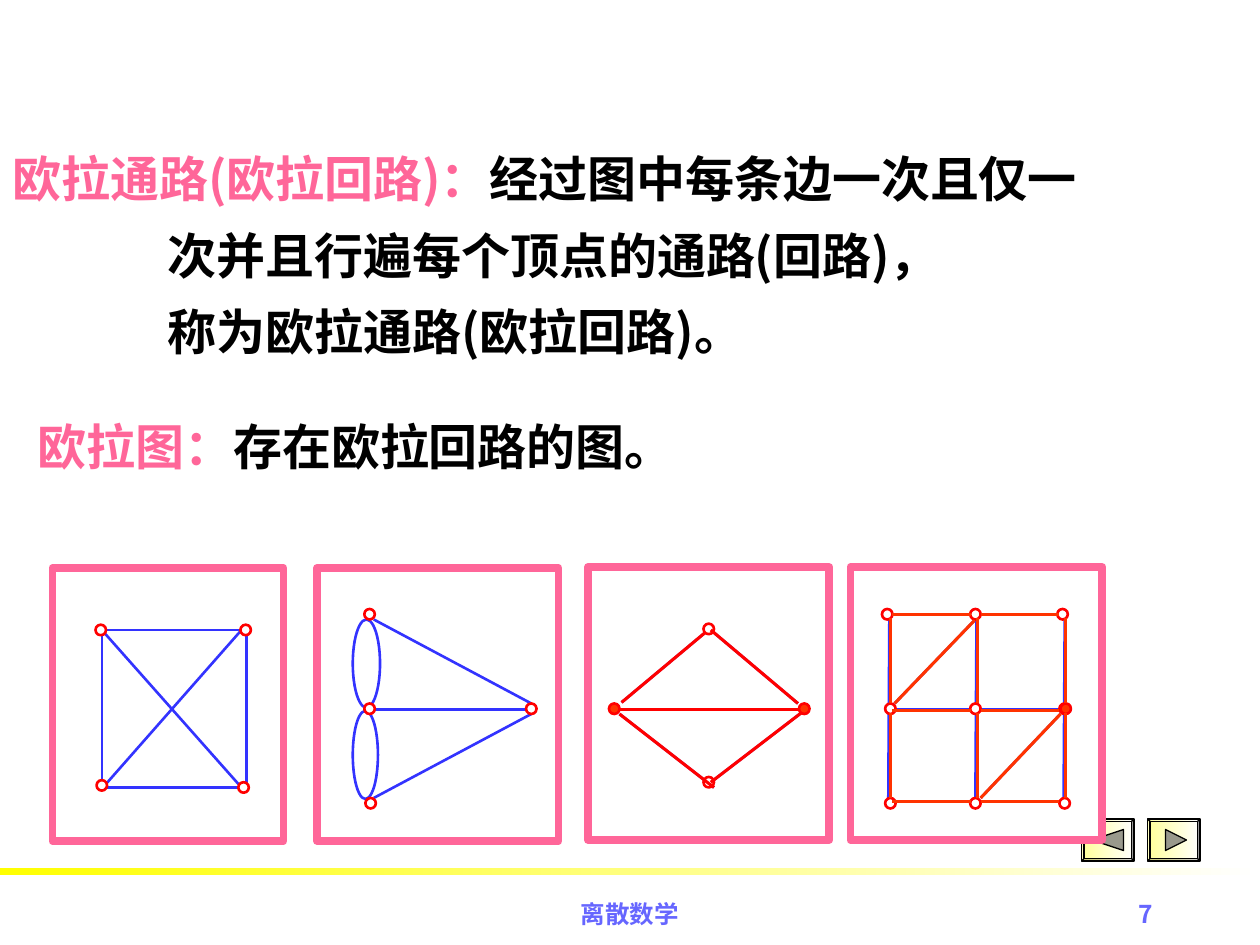
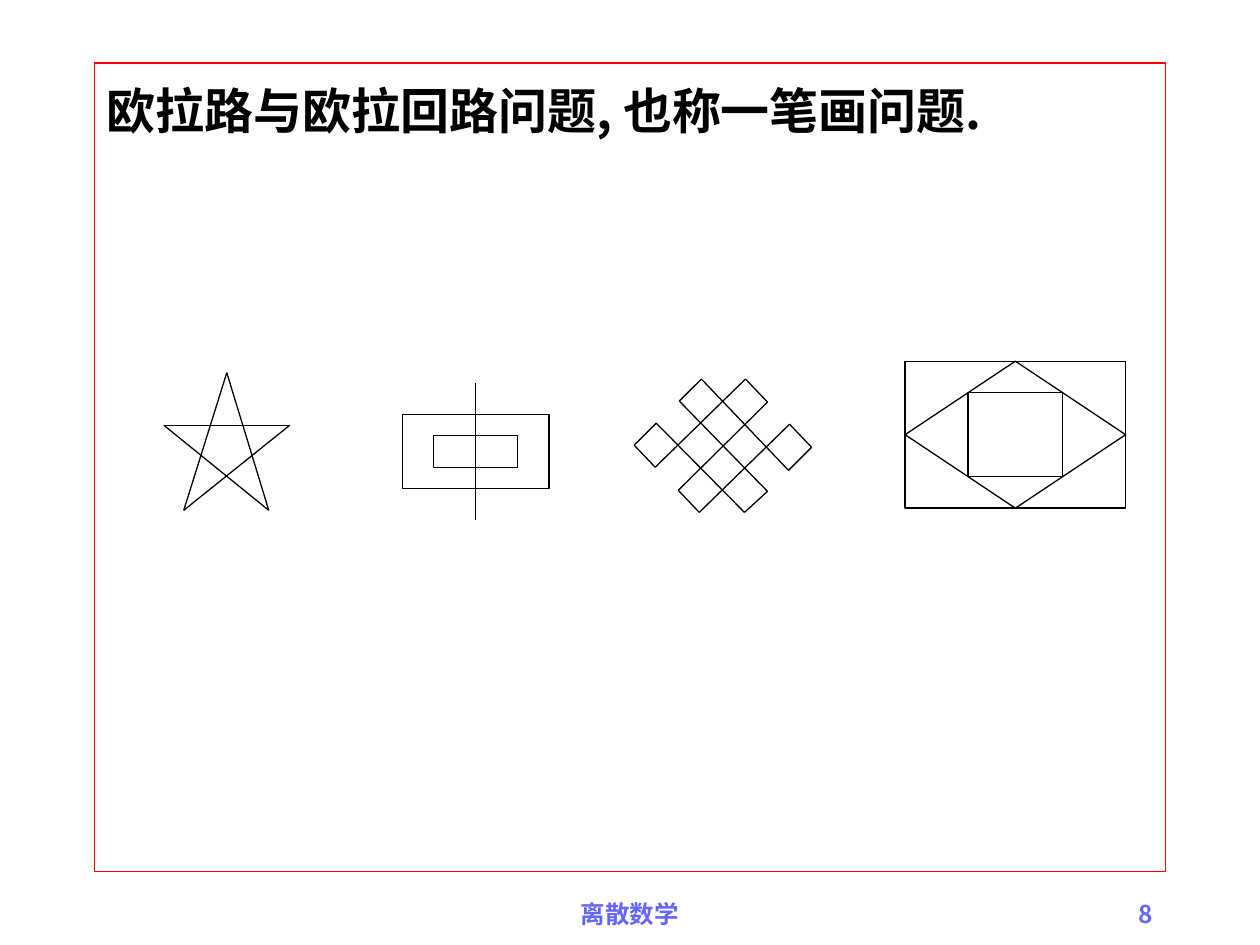
"""Build two slides about Euler trails, Euler circuits and one-stroke drawings."""
from itertools import pairwise, product

from lxml.etree import SubElement
from pptx import Presentation
from pptx.dml.color import RGBColor
from pptx.enum.shapes import MSO_CONNECTOR, MSO_SHAPE
from pptx.enum.text import MSO_ANCHOR, PP_ALIGN
from pptx.oxml.ns import qn
from pptx.util import Inches, Pt

BLACK = RGBColor(0x00, 0x00, 0x00)
WHITE = RGBColor(0xFF, 0xFF, 0xFF)
PINK = RGBColor(0xFF, 0x66, 0x99)
BLUE = RGBColor(0x33, 0x33, 0xFF)
RED = RGBColor(0xFF, 0x00, 0x00)
ORANGE = RGBColor(0xFF, 0x33, 0x00)
YELLOW = RGBColor(0xFF, 0xFF, 0x00)
CREAM = RGBColor(0xFF, 0xFF, 0x99)
GRAY = RGBColor(0x99, 0x99, 0x8C)
FOOTER = RGBColor(0x66, 0x66, 0xFF)
CJK = "Noto Sans CJK SC"
LATIN = "Times New Roman"
COLUMNS = 120


def add_run(p, text, *, size=28, color=BLACK, font=CJK, bold=True):
    """Add a formatted run to a paragraph."""
    r = p.add_run()
    r.text = text
    r.font.size = Pt(size)
    r.font.bold = bold
    r.font.color.rgb = color
    r.font.name = font
    SubElement(r.font._element, qn("a:ea")).set("typeface", CJK)


class Deck:
    """Hold the style, the grid of 120 by 90 square cells and the current slide."""

    def __init__(self):
        """Start an empty 4:3 deck."""
        self.prs = Presentation()
        self.prs.slide_width, self.prs.slide_height = Inches(10), Inches(7.5)
        self.cell = self.prs.slide_width / COLUMNS
        self.s = None

    def grid(self, *cells):
        """Turn grid cells into lengths."""
        return [round(c * self.cell) for c in cells]

    def new_slide(self):
        """Start a blank slide."""
        self.s = self.prs.slides.add_slide(self.prs.slide_layouts[6])

    def paint(self, sp, fill, line, width):
        """Set the fill, a colour or a pair for a gradient, and the outline."""
        sp.shadow.inherit = False
        if fill is None:
            sp.fill.background()
        elif isinstance(fill, RGBColor):
            sp.fill.solid()
            sp.fill.fore_color.rgb = fill
        else:
            sp.fill.gradient()
            sp.fill.gradient_angle = 180
            for stop, color in zip(sp.fill.gradient_stops, fill):
                stop.color.rgb = color
        if line is None:
            sp.line.fill.background()
        else:
            sp.line.color.rgb = line
            sp.line.width = Pt(width)

    def shape(self, *box, kind=MSO_SHAPE.RECTANGLE, fill=None, line=BLACK, width=0.75):
        """Draw a preset shape."""
        sp = self.s.shapes.add_shape(kind, *self.grid(*box))
        self.paint(sp, fill, line, width)
        return sp

    def polygon(self, points, fill):
        """Draw a closed filled outline."""
        start, *rest = points
        builder = self.s.shapes.build_freeform(*start, scale=self.cell)
        builder.add_line_segments(rest, close=True)
        self.paint(builder.convert_to_shape(), fill, BLACK, 0.75)

    def edges(self, lines, color=BLUE, width=1.5):
        """Draw straight edges given as x1, y1, x2, y2."""
        for line in lines:
            cxn = self.s.shapes.add_connector(MSO_CONNECTOR.STRAIGHT, *self.grid(*line))
            cxn.line.color.rgb = color
            cxn.line.width = Pt(width)
            SubElement(cxn._element.spPr, qn("a:effectLst"))

    def stroke(self, points):
        """Draw a closed figure in one stroke."""
        self.edges([a + b for a, b in pairwise(points + points[:1])], BLACK, 0.75)

    def vertices(self, centres, fill=WHITE):
        """Draw graph vertices around their centres."""
        for x, y in centres:
            self.shape(x - 0.5, y - 0.5, 1, 1, kind=MSO_SHAPE.OVAL,
                       fill=fill, line=RED, width=1.5)

    def panel(self, *box):
        """Draw the pink frame of a graph."""
        self.shape(*box, fill=WHITE, line=PINK, width=4.5)

    def text(self, box, paragraphs, align=PP_ALIGN.LEFT, spacing=1.0, indent=0, **fmt):
        """Write paragraphs of (text, colour) runs, indenting all but the first."""
        tf = self.s.shapes.add_textbox(*self.grid(*box)).text_frame
        tf.word_wrap = True
        for i, runs in enumerate(paragraphs):
            p = tf.add_paragraph() if i else tf.paragraphs[0]
            p.alignment = align
            p.line_spacing = spacing
            if i and indent:
                p._p.get_or_add_pPr().set("marL", str(self.grid(indent)[0]))
            for content, color in runs:
                add_run(p, content, color=color, **fmt)

    def footer(self, number):
        """Write the course name and the page number."""
        self.text((41, 85, 38, 5), [[("离散数学", FOOTER)]], PP_ALIGN.CENTER,
                  size=14, font=LATIN)
        self.text((86, 85, 25, 5), [[(str(number), FOOTER)]], PP_ALIGN.RIGHT, size=14)

    def button(self, left, direction):
        """Draw a bevelled button with a triangle pointing left or right."""
        top, width, height = 78, 5, 4
        sp = self.shape(left, top, width, height, kind=MSO_SHAPE.BEVEL, fill=(WHITE, CREAM))
        sp.adjustments[0] = 0.06
        x, y = left + width / 2, top + height / 2
        back = x - 1.25 * direction
        self.polygon([(back, y - 1.25), (x + 1.25 * direction, y), (back, y + 1.25)], GRAY)


def draw_square_graph(d):
    """Draw the square with both diagonals."""
    d.panel(5, 54.1, 22, 26)
    d.edges([(23.5, 74.8, 23.5, 60), (9.8, 75, 23, 60), (24, 60, 9.7, 60),
             (9.7, 74.8, 9.7, 60), (23, 75, 9.7, 60), (23, 75, 9.6, 75)])
    d.vertices([(9.6, 60), (23.4, 60), (23.2, 75), (9.7, 74.8)])


def draw_bridge_graph(d):
    """Draw the graph with two pairs of parallel edges."""
    d.panel(30.2, 54.1, 23, 26)
    d.edges([(35.6, 76, 50.6, 68), (50.6, 67, 35.6, 59), (50.6, 67.6, 35.2, 67.6)])
    for top, width in ((59, 2.6), (67.7, 2.4)):
        d.shape(33.6, top, width, 8.4, kind=MSO_SHAPE.OVAL, line=BLUE, width=1.5)
    d.vertices([(35.2, 58.5), (35.2, 67.5), (50.6, 67.5), (35.3, 76.5)])


def draw_diamond_graph(d):
    """Draw the diamond whose Euler trail is traced in red."""
    d.panel(56, 54, 23, 26)
    lines = [(68, 75, 59, 68), (67.7, 74.5, 76.7, 67.6), (76, 67, 67.7, 60),
             (76.6, 67.6, 58.6, 67.6), (59.2, 66.9, 67.1, 60.3)]
    d.edges(lines)
    d.vertices([(67.5, 59.9), (67.5, 74.5)])
    d.edges(lines, RED, 1.75)
    d.vertices([(58.5, 67.5), (76.6, 67.5)], ORANGE)


def draw_grid_graph(d):
    """Draw the two by two grid whose Euler circuit is traced in orange."""
    d.panel(81, 54, 24, 26)
    diagonals = [(93.4, 76, 101, 68), (85.2, 67, 92.8, 59.1)]
    d.edges(diagonals)
    d.edges([(x, 76, x + 0.1, 59) for x in (84.6, 92.9, 101.3)])
    d.edges([(100.8, y, 85.1, y) for y in (58.5, 67.6, 76.3)])
    d.vertices(product((84.8, 92.9, 101.4), (67.5, 76.5)))
    d.vertices([(84.5, 58.5), (92.9, 58.5), (101.2, 58.5)])
    d.vertices([(101.5, 67.5)], ORANGE)
    across = [(x, y, x + 7.5, y) for x, y in product((85, 93.4), (58.5, 67.7, 76.3))]
    down = [(x, y, x, y + 8.1) for x, y in product((84.8, 93.1, 101.5), (58.9, 67.9))]
    d.edges(diagonals + across + down, ORANGE, 1.75)


def build_definitions(d):
    """Build the slide that defines Euler trails, circuits and graphs."""
    d.new_slide()
    d.shape(0, 82.7, COLUMNS, 0.6, fill=(WHITE, YELLOW), line=None)
    d.text((0, 11.9, 117.6, 23), [
        [("欧拉通路(欧拉回路)：", PINK), ("经过图中每条边一次且仅一", BLACK)],
        [("次并且行遍每个顶点的通路(回路)，", BLACK)],
        [("称为欧拉通路(欧拉回路)。", BLACK)],
    ], spacing=1.3, indent=14.8)
    d.button(109.3, 1)
    d.button(103, -1)
    d.text((2.4, 37.4, 117.6, 8.5),
           [[("欧拉图：", PINK), ("存在欧拉回路的图。", BLACK)]], spacing=1.3)
    draw_square_graph(d)
    draw_bridge_graph(d)
    draw_diamond_graph(d)
    draw_grid_graph(d)
    d.footer(7)


def build_one_stroke(d):
    """Build the slide with the four one-stroke figures."""
    d.new_slide()
    sp = d.shape(9, 6, 102, 77, line=RED)
    tf = sp.text_frame
    tf.word_wrap = True
    tf.vertical_anchor = MSO_ANCHOR.TOP
    p = tf.paragraphs[0]
    p.alignment = PP_ALIGN.LEFT
    p.line_spacing = 1.2
    add_run(p, "欧拉路与欧拉回路问题, 也称一笔画问题.")

    star = [(15.6, 40.5), (27.6, 40.5), (17.5, 48.6), (21.6, 35.5), (25.6, 48.6)]
    d.stroke(star)

    d.shape(38.3, 39.5, 14, 7)
    d.shape(41.3, 41.5, 8, 3)
    d.edges([(45.3, 36.5, 45.3, 49.5)], BLACK, 0.75)

    knot = [(62.4, 44.5), (71, 36.1), (73.1, 38.3), (64.6, 46.7), (66.6, 48.8),
            (75.2, 40.4), (77.3, 42.6), (75.1, 44.8), (66.8, 36.1), (64.7, 38.2),
            (73.1, 46.8), (70.9, 48.8), (62.5, 40.3), (60.4, 42.4)]
    d.stroke(knot)

    for kind in (MSO_SHAPE.RECTANGLE, MSO_SHAPE.FLOWCHART_DECISION):
        d.shape(86.2, 34.4, 21, 14, kind=kind)
    d.shape(92.2, 37.4, 9, 8)
    d.footer(8)


def main():
    """Build and save the deck."""
    d = Deck()
    build_definitions(d)
    build_one_stroke(d)
    d.prs.save("out.pptx")


if __name__ == "__main__":
    main()
